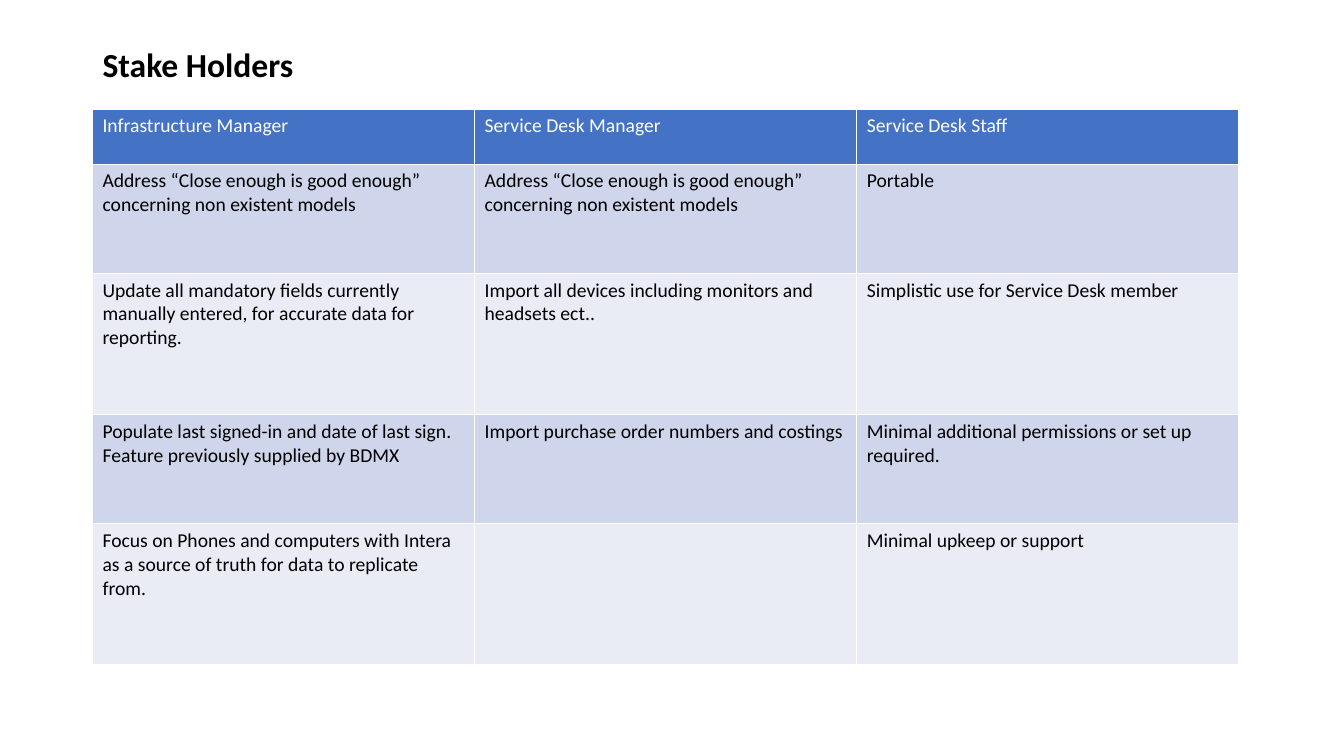
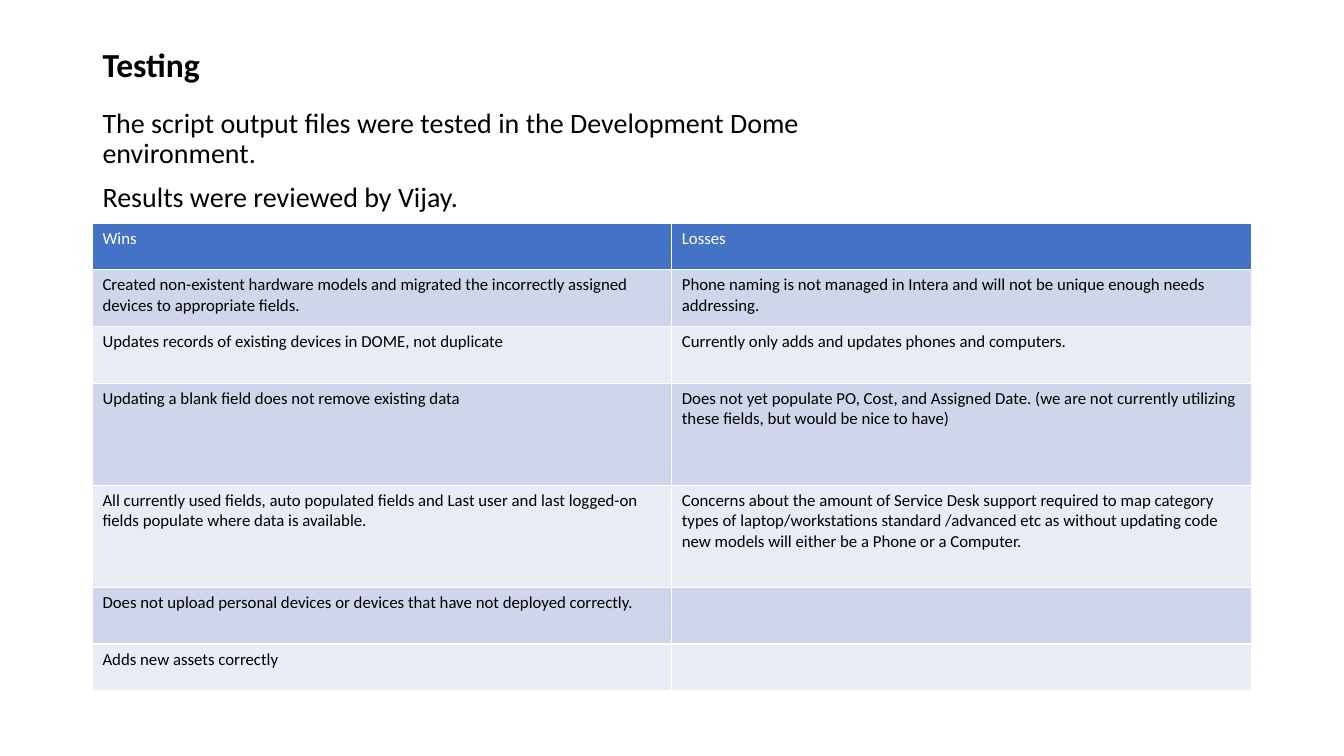
from dataclasses import dataclass

from pptx import Presentation
from pptx.dml.color import RGBColor
from pptx.enum.text import MSO_ANCHOR, MSO_AUTO_SIZE, PP_ALIGN
from pptx.oxml.ns import qn
from pptx.util import Cm, Pt
from lxml import etree

LEFT, TOP, MIDDLE = PP_ALIGN.LEFT, MSO_ANCHOR.TOP, MSO_ANCHOR.MIDDLE
FIXED = MSO_AUTO_SIZE.NONE
FONT = "Calibri"
COLORS = {
    "head": "4472C4",
    "dark": "CFD5EA",
    "light": "E9EBF5",
    "white": "FFFFFF",
    "black": "000000",
}
MARGIN = 2.33  # left edge of every element, in cm
TITLE_ONLY, TITLE_BODY = 5, 1


@dataclass
class Grid:
    """A table; lengths in cm, text size in points."""
    top: float
    col: float
    size: int
    heights: list[float]
    rows: list[tuple[str, ...]]


@dataclass
class Page:
    title: str
    body: list[str]
    grid: Grid


CLOSE = "Address “Close enough is good enough” concerning non existent models"

PAGES = [
    Page("Stake Holders", [], Grid(2.75, 9.63, 14, [1.39, 2.75, 3.56, 2.75, 3.56], [
        ("Infrastructure Manager", "Service Desk Manager", "Service Desk Staff"),
        (CLOSE, CLOSE, "Portable"),
        ("Update all mandatory fields currently manually entered, for accurate data for reporting.",
         "Import all devices including monitors and headsets ect..",
         "Simplistic use for Service Desk member"),
        ("Populate last signed-in and date of last sign. Feature previously supplied by BDMX",
         "Import purchase order numbers and costings",
         "Minimal additional permissions or set up required."),
        ("Focus on Phones and computers with Intera as a source of truth for data to replicate from.",
         "",
         "Minimal upkeep or support"),
    ])),
    Page("Testing", [
        "The script output files were tested in the Development Dome environment.",
        "Results were reviewed by Vijay.",
    ], Grid(5.64, 14.6, 12, [1.16, 1.43, 1.43, 2.57, 2.57, 1.43, 1.16], [
        ("Wins", "Losses"),
        ("Created non-existent hardware models and migrated the incorrectly assigned devices "
         "to appropriate fields.",
         "Phone naming is not managed in Intera and will not be unique enough needs addressing."),
        ("Updates records of existing devices in DOME, not duplicate",
         "Currently only adds and updates phones and computers."),
        ("Updating a blank field does not remove existing data",
         "Does not yet populate PO, Cost, and Assigned Date. (we are not currently utilizing "
         "these fields, but would be nice to have)"),
        ("All currently used fields, auto populated fields and Last user and last logged-on "
         "fields populate where data is available.",
         "Concerns about the amount of Service Desk support required to map category types of "
         "laptop/workstations standard /advanced etc as without updating code new models will "
         "either be a Phone or a Computer."),
        ("Does not upload personal devices or devices that have not deployed correctly.", ""),
        ("Adds new assets correctly", ""),
    ])),
]


def rgb(name: str) -> RGBColor:
    return RGBColor.from_string(COLORS[name])


def style(par, size: int, color: str, bold: bool = False) -> None:
    font = par.font
    font.name, font.size, font.bold = FONT, Pt(size), bold
    font.color.rgb = rgb(color)


def place(shape, top: float, width: float, height: float, anchor) -> None:
    """Move a placeholder and stop its text from shrinking."""
    shape.left, shape.top = Cm(MARGIN), Cm(top)
    shape.width, shape.height = Cm(width), Cm(height)
    frame = shape.text_frame
    frame.auto_size, frame.word_wrap = FIXED, True
    frame.vertical_anchor = anchor


def add_title(slide, text: str) -> None:
    title = slide.shapes.title
    place(title, 1.01, 29.21, 1.32, MIDDLE)
    title.text_frame.text = text
    par = title.text_frame.paragraphs[0]
    par.alignment, par.line_spacing = LEFT, 0.9
    style(par, 24, "black", True)


def add_body(slide, lines: list[str]) -> None:
    body = slide.placeholders[1]
    place(body, 2.62, 21.9, 2.4, TOP)
    body.text_frame.text = "\n".join(lines)
    for i, par in enumerate(body.text_frame.paragraphs):
        par.line_spacing = 0.9
        par.space_before = Pt(10 if i else 0)
        props = par._p.get_or_add_pPr()
        props.set("marL", "0")
        props.set("indent", "0")
        etree.SubElement(props, qn("a:buNone"))
        style(par, 20, "black")


def add_edges(cell) -> None:
    """Draw a thin white line on all four sides of a cell."""
    props = cell._tc.get_or_add_tcPr()
    for i, side in enumerate(("lnL", "lnR", "lnT", "lnB")):
        line = etree.Element(qn(f"a:{side}"), w=str(Pt(1)))
        fill = etree.SubElement(line, qn("a:solidFill"))
        etree.SubElement(fill, qn("a:srgbClr"), val=COLORS["white"])
        props.insert(i, line)


def add_grid(slide, grid: Grid) -> None:
    count = len(grid.rows[0])
    table = slide.shapes.add_table(
        len(grid.rows), count, Cm(MARGIN), Cm(grid.top),
        Cm(grid.col * count), Cm(sum(grid.heights))).table
    for col in table.columns:
        col.width = Cm(grid.col)
    for r, (height, texts) in enumerate(zip(grid.heights, grid.rows)):
        table.rows[r].height = Cm(height)
        fill = "head" if r == 0 else "dark" if r % 2 else "light"
        for c, text in enumerate(texts):
            cell = table.cell(r, c)
            cell.text = text
            cell.fill.solid()
            cell.fill.fore_color.rgb = rgb(fill)
            add_edges(cell)
            style(cell.text_frame.paragraphs[0], grid.size, "black" if r else "white")


def main() -> None:
    deck = Presentation()
    deck.slide_width, deck.slide_height = Cm(33.87), Cm(19.05)
    for page in PAGES:
        layout = deck.slide_layouts[TITLE_BODY if page.body else TITLE_ONLY]
        slide = deck.slides.add_slide(layout)
        add_title(slide, page.title)
        if page.body:
            add_body(slide, page.body)
        add_grid(slide, page.grid)
    deck.save("out.pptx")


if __name__ == "__main__":
    main()
